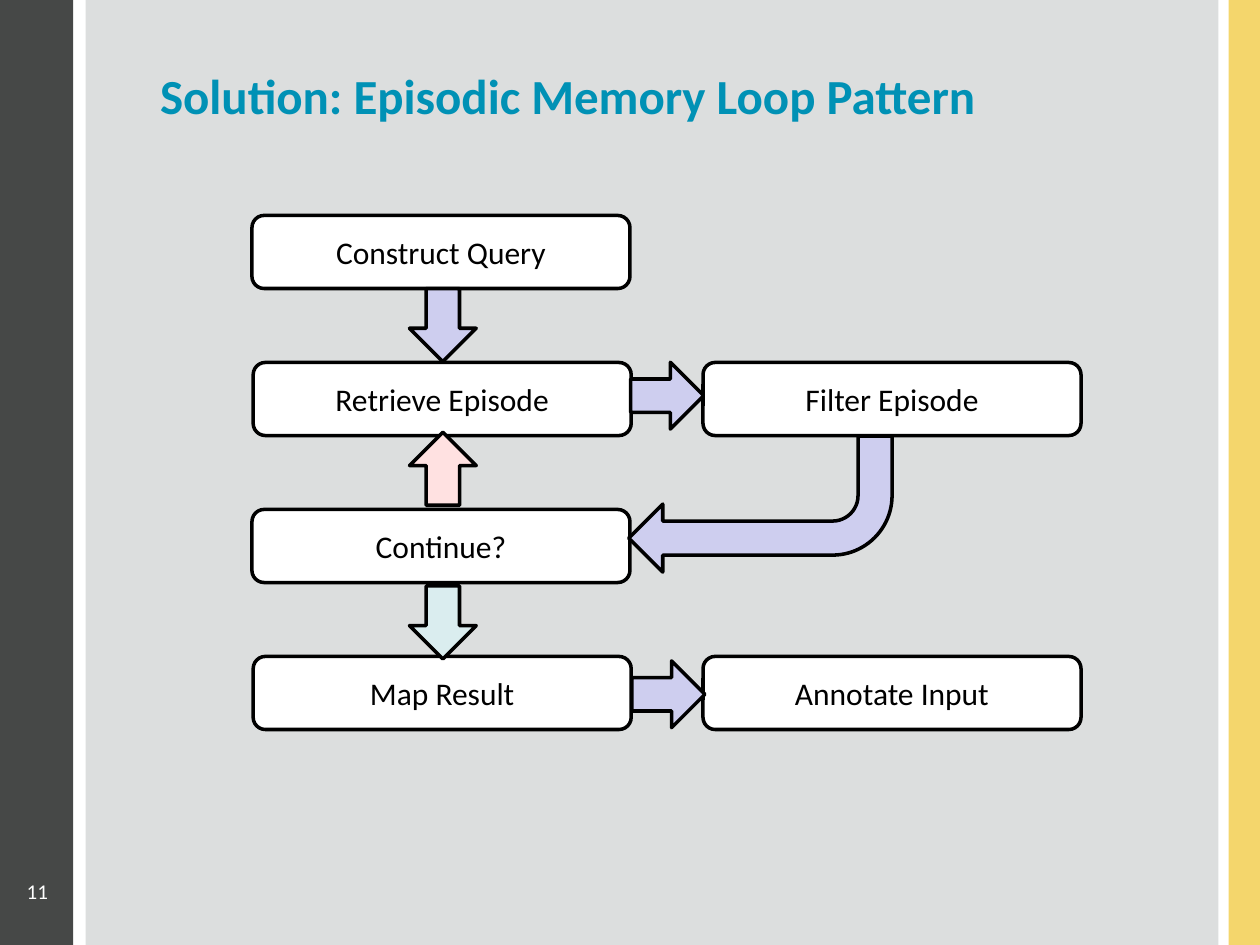
from pptx import Presentation
from pptx.dml.color import RGBColor
from pptx.enum.shapes import MSO_SHAPE
from pptx.enum.text import MSO_ANCHOR, PP_ALIGN
from pptx.util import Inches, Pt

RECT = MSO_SHAPE.RECTANGLE
ROUND = MSO_SHAPE.ROUNDED_RECTANGLE
DOWN = MSO_SHAPE.DOWN_ARROW
BENT = MSO_SHAPE.BENT_ARROW
LEFT, CENTER, RIGHT = PP_ALIGN.LEFT, PP_ALIGN.CENTER, PP_ALIGN.RIGHT
TOP, MIDDLE = MSO_ANCHOR.TOP, MSO_ANCHOR.MIDDLE

BLACK, WHITE, LILAC = "000000", "FFFFFF", "CECEEF"


def color(code):
    return RGBColor.from_string(code)


def write(shape, text, size=18, ink=BLACK, bold=False, align=CENTER, anchor=MIDDLE, inset=0.1):
    frame = shape.text_frame
    frame.word_wrap = True
    frame.vertical_anchor = anchor
    frame.margin_left = frame.margin_right = Inches(inset)
    para = frame.paragraphs[0]
    para.alignment = align
    run = para.add_run()
    run.text = text
    font = run.font
    font.name, font.size, font.bold = "Calibri", Pt(size), bold
    font.color.rgb = color(ink)


class Board:
    def __init__(self, slide):
        self.slide = slide
        self.line = Pt(2)

    def shape(self, kind, box, fill, edge=True):
        shape = self.slide.shapes.add_shape(kind, *map(Inches, box))
        shape.shadow.inherit = False
        shape.fill.solid()
        shape.fill.fore_color.rgb = color(fill)
        if edge:
            shape.line.color.rgb = color(BLACK)
            shape.line.width = self.line
        else:
            shape.line.fill.background()
        return shape

    def band(self, left, width, fill):
        self.shape(RECT, (left, 0, width, 7.5), fill, edge=False)

    def title(self, text):
        title = self.slide.shapes.title
        title.element.getparent().append(title.element)
        title.left, title.top = Inches(1.17), Inches(0.42)
        title.width, title.height = Inches(8.08), Inches(0.67)
        write(title, text, size=28, ink="0091B5", bold=True, align=LEFT)

    def step(self, left, top, text):
        write(self.shape(ROUND, (left, top, 3, 0.58), WHITE), text)

    def arrow(self, left, top, fill=LILAC, turn=0):
        self.shape(DOWN, (left, top, 0.53, 0.58), fill).rotation = turn

    def bend(self, box):
        self.shape(BENT, box, LILAC).rotation = 180

    def number(self, text):
        box = self.slide.shapes.add_textbox(0, Inches(6.92), Inches(0.58), Inches(0.33))
        write(box, text, size=12, ink=WHITE, align=RIGHT, anchor=TOP, inset=0.2)
        box.text_frame.margin_left = 0


def main():
    deck = Presentation()
    deck.slide_width, deck.slide_height = Inches(10), Inches(7.5)
    board = Board(deck.slides.add_slide(deck.slide_layouts[5]))

    board.band(0, 0.58, "464847")
    board.band(9.75, 0.25, "F4D66C")
    board.band(0.68, 8.99, "DCDEDE")
    board.title("Solution: Episodic Memory Loop Pattern")

    rows = [
        ("Construct Query", None),
        ("Retrieve Episode", "Filter Episode"),
        ("Continue?", None),
        ("Map Result", "Annotate Input"),
    ]
    for row, (main_step, side) in enumerate(rows):
        top = 1.71 + row * 3.5 / 3
        board.step(2 + row % 2 * 0.01, top, main_step)
        if side:
            board.step(5.58, top, side)

    board.arrow(3.25, 2.29)
    board.arrow(3.25, 3.43, fill="FFE1E1", turn=180)
    board.arrow(3.25, 4.65, fill="DAEDEF")
    board.arrow(5.03, 2.85, turn=270)
    board.arrow(5.04, 5.22, turn=270)
    board.bend((4.99, 3.46, 2.09, 1.08))
    board.number("11")

    deck.save("out.pptx")


if __name__ == "__main__":
    main()
